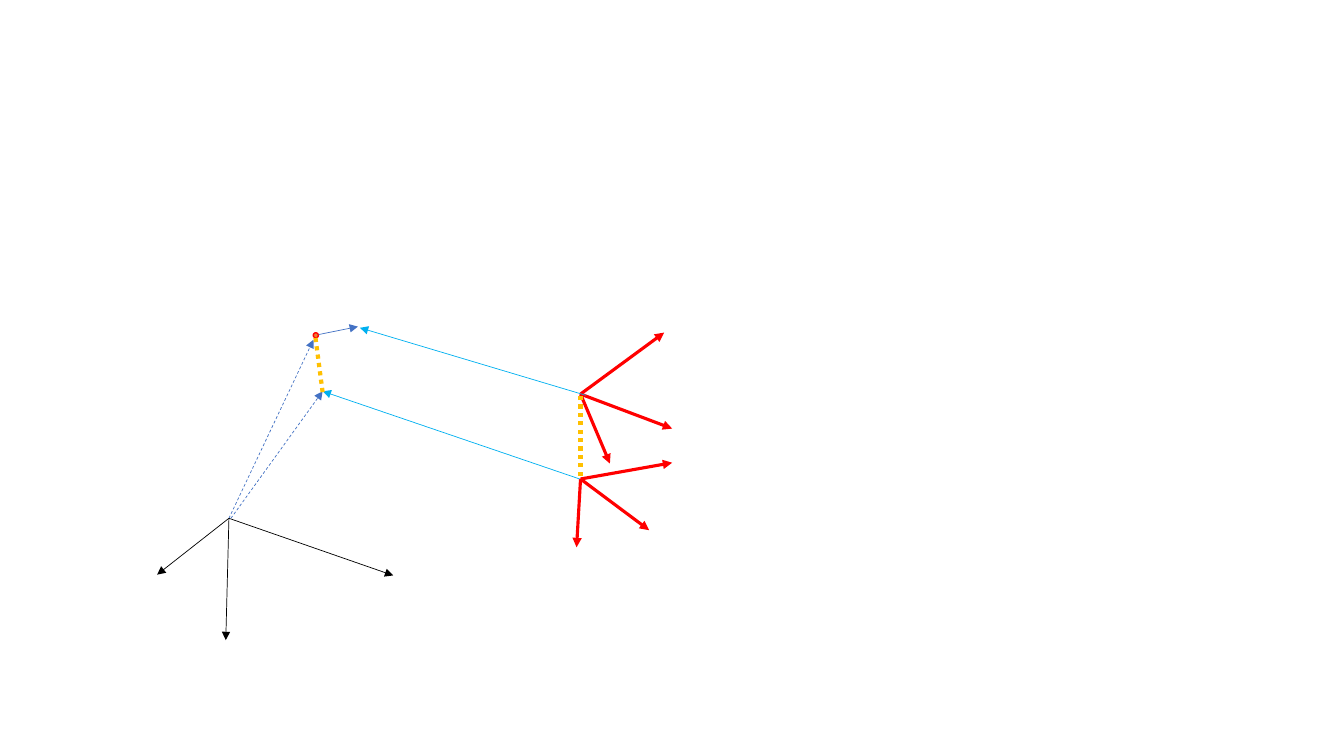
from dataclasses import dataclass

from lxml import etree
from pptx import Presentation
from pptx.dml.color import RGBColor
from pptx.enum.dml import MSO_LINE
from pptx.enum.shapes import MSO_CONNECTOR, MSO_SHAPE
from pptx.oxml.ns import qn
from pptx.util import Cm, Pt

STRAIGHT = MSO_CONNECTOR.STRAIGHT
OVAL = MSO_SHAPE.OVAL
DASH = MSO_LINE.DASH
DOTTED = MSO_LINE.ROUND_DOT
BLANK_LAYOUT = 6


@dataclass(frozen=True)
class Theme:
    world: RGBColor = RGBColor(0x00, 0x00, 0x00)
    camera: RGBColor = RGBColor(0xFF, 0x00, 0x00)
    vector: RGBColor = RGBColor(0x44, 0x72, 0xC4)
    ray: RGBColor = RGBColor(0x00, 0xB0, 0xF0)
    shift: RGBColor = RGBColor(0xFF, 0xC0, 0x00)
    point: RGBColor = RGBColor(0xED, 0x7D, 0x31)
    thin: float = 0.5
    outline: float = 1
    bold: float = 2.25
    heavy: float = 3


THEME = Theme()

# Frame origins and landmarks, as (x, y) in centimetres
WORLD = (5.77, 13.06)
UPPER_CAMERA = (14.63, 9.93)
LOWER_CAMERA = (14.63, 12.07)
LOWER_TARGET = (8.13, 9.86)
POINT = (7.96, 8.45)
POINT_SIZE = 0.13

WORLD_TIPS = [(9.91, 14.5), (5.69, 16.13), (3.96, 14.48)]
UPPER_TIPS = [(16.74, 8.38), (16.94, 10.8), (15.37, 11.68)]
LOWER_TIPS = [(16.94, 11.66), (16.36, 13.36), (14.53, 13.79)]


def add_line(slide, start, end, color, width, dash=None, arrow=True):
    """Draw a straight line, with an arrowhead at its end by default."""
    connector = slide.shapes.add_connector(
        STRAIGHT, *(Cm(value) for value in (*start, *end)))
    line = connector.line
    line.color.rgb = color
    line.width = Pt(width)
    if dash is not None:
        line.dash_style = dash
    properties = connector.element.spPr
    if arrow:
        outline = properties.find(qn("a:ln"))
        etree.SubElement(outline, qn("a:tailEnd"), type="triangle")
    etree.SubElement(properties, qn("a:effectLst"))


def add_axes(slide, origin, tips, color, width):
    """Draw the three axes of a coordinate frame."""
    for tip in tips:
        add_line(slide, origin, tip, color, width)


def add_point(slide, center, size):
    """Draw a small outlined dot."""
    left, top = (value - size / 2 for value in center)
    dot = slide.shapes.add_shape(OVAL, Cm(left), Cm(top), Cm(size), Cm(size))
    dot.shadow.inherit = False
    dot.fill.solid()
    dot.fill.fore_color.rgb = THEME.point
    dot.line.color.rgb = THEME.camera
    dot.line.width = Pt(THEME.outline)


def main():
    presentation = Presentation()
    presentation.slide_width = Cm(33.87)
    presentation.slide_height = Cm(19.05)
    slide = presentation.slides.add_slide(
        presentation.slide_layouts[BLANK_LAYOUT])

    # World frame and the observed point
    add_axes(slide, WORLD, WORLD_TIPS, THEME.world, THEME.thin)
    add_line(slide, WORLD, (7.9, 8.56), THEME.vector, THEME.thin, DASH)
    add_point(slide, POINT, POINT_SIZE)

    # Camera frames with their rays
    add_axes(slide, UPPER_CAMERA, UPPER_TIPS, THEME.camera, THEME.bold)
    add_line(slide, (14.76, 9.96), (9.07, 8.26), THEME.ray, THEME.thin)
    add_axes(slide, LOWER_CAMERA, LOWER_TIPS, THEME.camera, THEME.bold)
    add_line(slide, (14.61, 12.07), LOWER_TARGET, THEME.ray, THEME.thin)

    # Vectors to the two ray ends
    add_line(slide, (8.03, 8.43), (9.02, 8.23), THEME.vector, THEME.thin)
    add_line(slide, (5.82, 13.06), LOWER_TARGET, THEME.vector, THEME.thin, DASH)

    # Dotted shifts between cameras and between targets
    for start, end in [((14.63, 11.99), (14.63, 9.88)),
                       ((8.13, 9.88), (7.95, 8.51))]:
        add_line(slide, start, end, THEME.shift, THEME.heavy, DOTTED, arrow=False)

    presentation.save("out.pptx")


if __name__ == "__main__":
    main()
